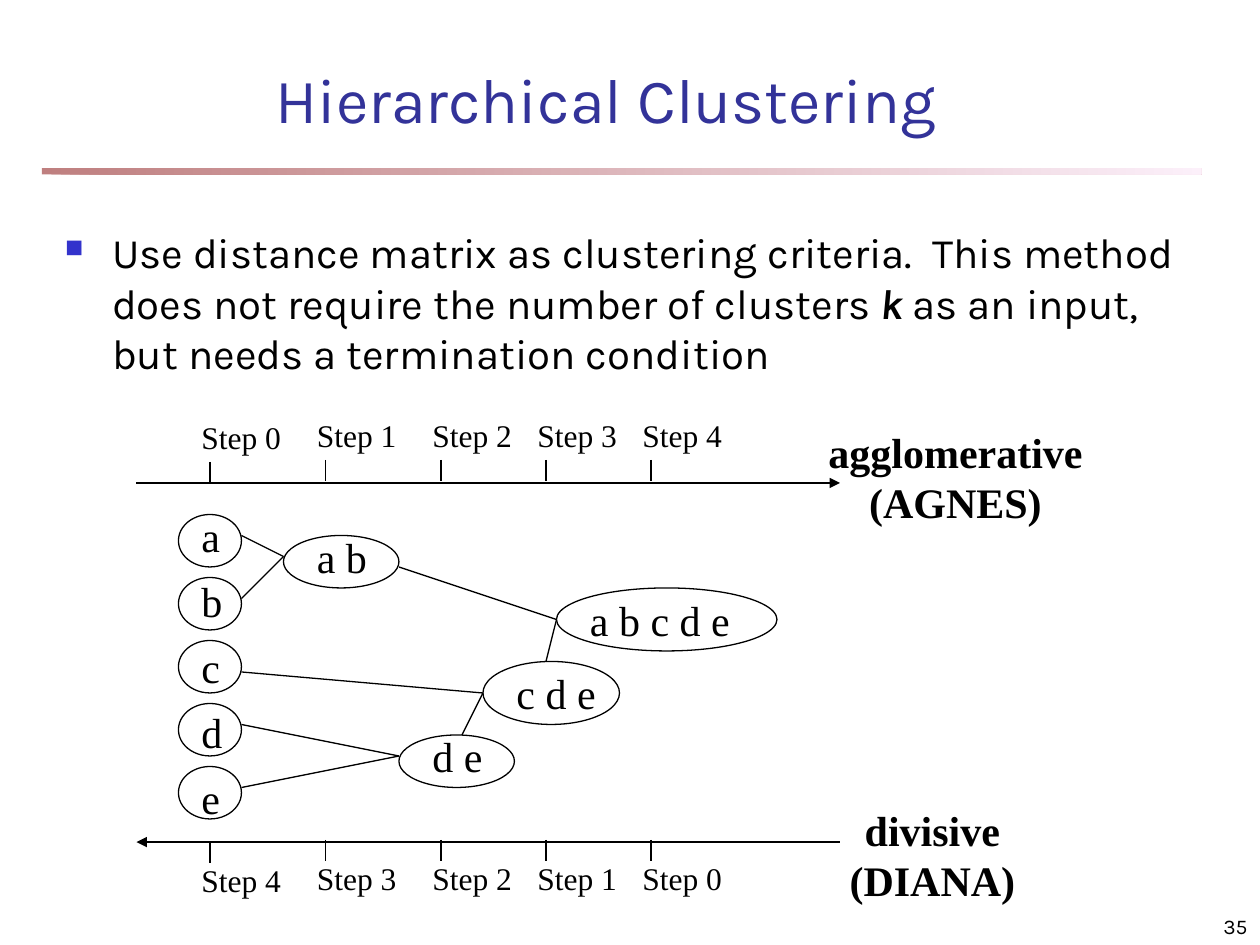
"""Build a slide comparing agglomerative and divisive hierarchical clustering."""
import lxml.etree
import pptx
import pptx.dml.color
import pptx.enum.shapes
import pptx.enum.text
import pptx.oxml.ns
import pptx.util

PX = 7620
SERIF = "Times New Roman"
SANS = "Karla"
colour = pptx.dml.color.RGBColor.from_string
qn = pptx.oxml.ns.qn
Align = pptx.enum.text.PP_ALIGN
Anchor = pptx.enum.text.MSO_ANCHOR
Shape = pptx.enum.shapes.MSO_SHAPE

presentation = pptx.Presentation()
presentation.slide_width = 1200 * PX
presentation.slide_height = 900 * PX
slide = presentation.slides.add_slide(presentation.slide_layouts[6])


def add_text(text, left, top, width, height, size=24, font=SERIF, color="000000",
             align=Align.LEFT, anchor=Anchor.TOP, bold=False, wrap=True, bullet=None):
    """Add a text box; words between asterisks become bold italic."""
    box = slide.shapes.add_textbox(left * PX, top * PX, width * PX, height * PX)
    frame = box.text_frame
    frame.word_wrap = wrap
    frame.vertical_anchor = anchor
    for index, line in enumerate(text.split("\n")):
        paragraph = frame.add_paragraph() if index else frame.paragraphs[0]
        paragraph.alignment = align
        if bullet:
            properties = paragraph._p.get_or_add_pPr()
            properties.set("marL", str(45 * PX))
            properties.set("indent", str(-45 * PX))
            bullet_color = lxml.etree.SubElement(properties, qn("a:buClr"))
            lxml.etree.SubElement(bullet_color, qn("a:srgbClr"), val=bullet)
            lxml.etree.SubElement(properties, qn("a:buSzPct"), val="60000")
            lxml.etree.SubElement(properties, qn("a:buChar"), char="■")
        for part, words in enumerate(line.split("*")):
            run = paragraph.add_run()
            run.text = words
            run.font.size = pptx.util.Pt(size)
            run.font.name = font
            run.font.color.rgb = colour(color)
            run.font.bold = bold or part % 2 == 1
            run.font.italic = part % 2 == 1


def add_line(start_x, start_y, end_x, end_y, width=0.75, arrow=None):
    """Add a straight black line, with an arrowhead at headEnd or tailEnd."""
    connector = slide.shapes.add_connector(
        pptx.enum.shapes.MSO_CONNECTOR.STRAIGHT,
        start_x * PX, start_y * PX, end_x * PX, end_y * PX)
    connector.line.color.rgb = colour("000000")
    connector.line.width = pptx.util.Pt(width)
    properties = connector._element.spPr
    if arrow:
        lxml.etree.SubElement(properties.find(qn("a:ln")), qn(f"a:{arrow}"), type="triangle")
    lxml.etree.SubElement(properties, qn("a:effectLst"))


rule = slide.shapes.add_shape(Shape.RECTANGLE, 40 * PX, 160 * PX, 1104 * PX, 6 * PX)
rule.shadow.inherit = False
rule.line.fill.background()
rule.fill.gradient()
rule.fill.gradient_angle = 0
for stop, color in zip(rule.fill.gradient_stops, ("800000", "FAE2F6")):
    stop.color.rgb = colour(color)
for stop_color in rule._element.spPr.iter(qn("a:srgbClr")):
    lxml.etree.SubElement(stop_color, qn("a:alpha"), val="50000")

add_text("35", 950, 850, 250, 50, size=12, font=SANS, align=Align.RIGHT, anchor=Anchor.BOTTOM)
add_text("Hierarchical Clustering", 98, 65, 958, 58, size=36, font=SANS, color="333399",
         align=Align.CENTER, anchor=Anchor.MIDDLE)
add_text("Use distance matrix as clustering criteria.  This method does not require "
         "the number of clusters *k* as an input, but needs a termination condition",
         50, 210, 1090, 640, font=SANS, bullet="3333CC")

add_line(130, 460, 800, 460, width=1.5, arrow="tailEnd")
add_line(130, 802, 800, 802, width=1.5, arrow="headEnd")
for step, tick_x in enumerate((200, 310, 420, 520, 620)):
    drop = 0 if step else 2
    for number, tick_y, label_y in ((step, 438, 390), (4 - step, 800, 812)):
        add_line(tick_x, tick_y + drop, tick_x, tick_y + drop + 20)
        add_text(f"Step {number}", tick_x - 20, label_y + drop, 100, 48, size=18)

clusters = [
    ("a b", 270, 510, 110, 50, 290, 500, 72),
    ("d e", 380, 700, 110, 50, 400, 690, 72),
    ("c d e", 460, 630, 130, 60, 480, 630, 100),
    ("a b c d e", 530, 560, 210, 60, 550, 560, 157),
]
for index, letter in enumerate("abcde"):
    clusters.append((letter, 170, 490 + 60 * index, 60, 50, 180, 480 + 125 * index // 2, 43))
for members, left, top, width, height, text_left, text_top, text_width in clusters:
    add_text(members, text_left, text_top, text_width, 60, wrap=False)
    ellipse = slide.shapes.add_shape(Shape.OVAL, left * PX, top * PX, width * PX, height * PX)
    ellipse.shadow.inherit = False
    ellipse.fill.background()
    ellipse.line.color.rgb = colour("000000")
    ellipse.line.width = pptx.util.Pt(0.75)

merges = {
    (270, 530): ((230, 510), (230, 570)),
    (380, 720): ((230, 690), (230, 750)),
    (460, 660): ((230, 640), (440, 700)),
    (530, 590): ((380, 540), (520, 630)),
}
for target, sources in merges.items():
    for source in sources:
        add_line(*source, *target)

add_text("agglomerative\n(AGNES)", 772, 400, 276, 108, align=Align.CENTER, bold=True, wrap=False)
add_text("divisive\n(DIANA)", 788, 760, 200, 108, align=Align.CENTER, bold=True, wrap=False)

presentation.save("out.pptx")
